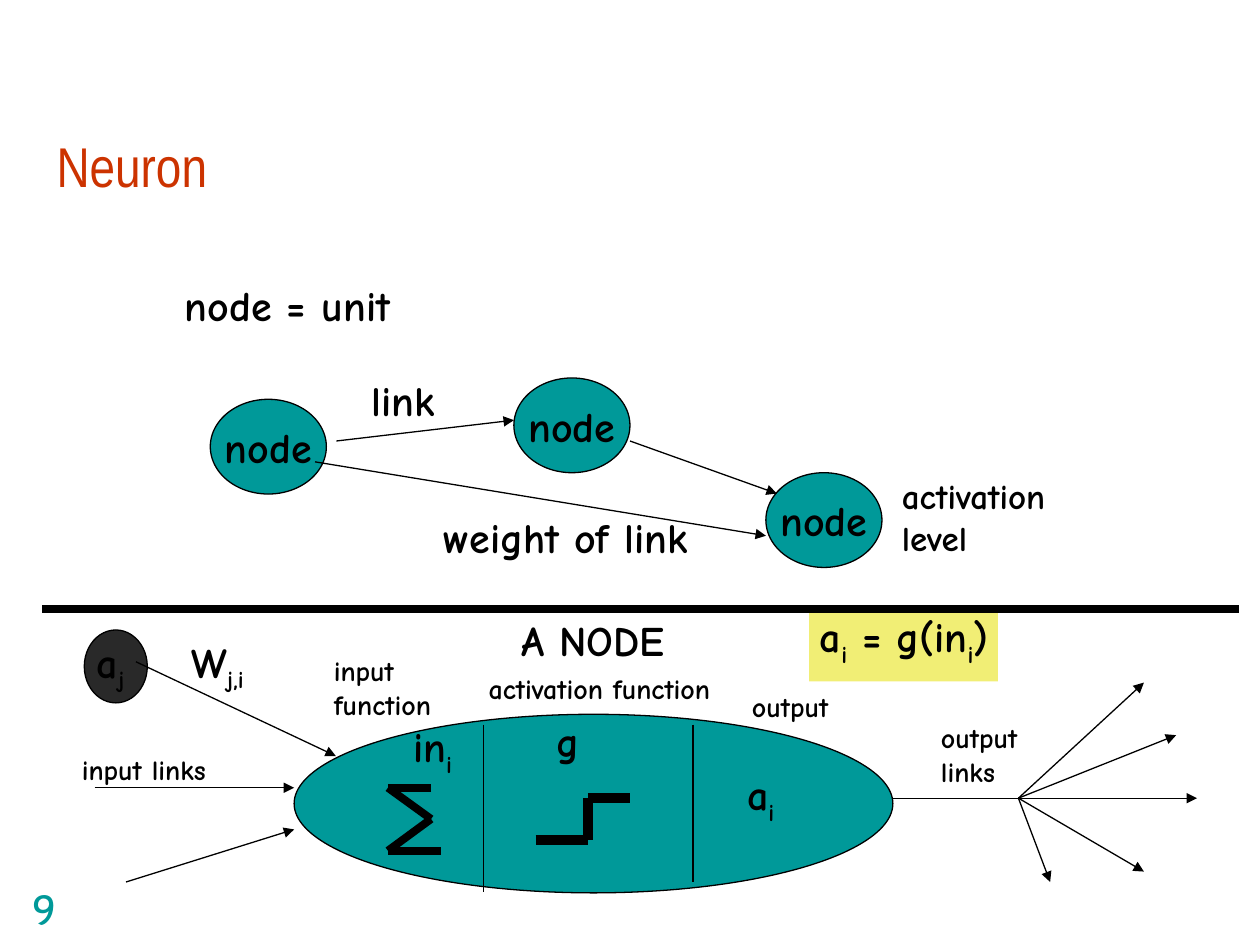
from itertools import pairwise

from lxml import etree
from pptx import Presentation
from pptx.dml.color import RGBColor
from pptx.enum import shapes, text
from pptx.oxml.ns import qn
from pptx.util import Cm, Pt

COLORS = {
    "black": "000000",
    "teal": "009999",
    "dark": "292929",
    "yellow": "F1EE75",
    "red": "CC3300",
}
OVAL = shapes.MSO_SHAPE.OVAL
RECT = shapes.MSO_SHAPE.RECTANGLE


def rgb(name):
    return RGBColor.from_string(COLORS[name])


def write(sp, content, size=24, font="Comic Neue", color="black", bold=True,
          align=text.PP_ALIGN.LEFT, anchor=text.MSO_ANCHOR.TOP, wrap=False):
    """Fill a shape with text; parts between underscores become subscripts."""
    tf = sp.text_frame
    tf.word_wrap = wrap
    tf.vertical_anchor = anchor
    for i, line in enumerate(content.split("\n")):
        p = tf.add_paragraph() if i else tf.paragraphs[0]
        p.alignment = align
        for j, part in enumerate(line.split("_")):
            if not part:
                continue
            r = p.add_run()
            r.text = part
            r.font.name = font
            r.font.size = Pt(size)
            r.font.bold = bold
            r.font.color.rgb = rgb(color)
            if j % 2:
                r.font._element.set("baseline", "-25000")


def add_label(s, content, x, y, w, h=1.27, **fmt):
    """Add a text box; unless it wraps, it grows with its text."""
    sp = s.shapes.add_textbox(Cm(x), Cm(y), Cm(w), Cm(h))
    write(sp, content, **fmt)
    if not sp.text_frame.word_wrap:
        sp.text_frame.auto_size = text.MSO_AUTO_SIZE.SHAPE_TO_FIT_TEXT


def add_figure(s, kind, x, y, w, h, fill, outlined=True):
    sp = s.shapes.add_shape(kind, Cm(x), Cm(y), Cm(w), Cm(h))
    sp.shadow.inherit = False
    sp.fill.solid()
    sp.fill.fore_color.rgb = rgb(fill)
    if outlined:
        sp.line.color.rgb = rgb("black")
        sp.line.width = Pt(0.75)
    else:
        sp.line.fill.background()
    return sp


def add_line(s, start, end, width=0.75, arrow=False):
    line = s.shapes.add_connector(
        shapes.MSO_CONNECTOR.STRAIGHT, *map(Cm, start + end))
    line.line.color.rgb = rgb("black")
    line.line.width = Pt(width)
    if arrow:
        etree.SubElement(line.line._get_or_add_ln(), qn("a:tailEnd"), type="triangle")
    etree.SubElement(line._element.spPr, qn("a:effectLst"))


def add_path(s, points, width):
    for start, end in pairwise(points):
        add_line(s, start, end, width)


def draw_network(s):
    for x, y in [(4.24, 8.05), (10.36, 7.62), (15.44, 9.53)]:
        node = add_figure(s, OVAL, x, y, 2.34, 1.91, "teal")
        write(node, "node", align=text.PP_ALIGN.CENTER, anchor=text.MSO_ANCHOR.MIDDLE)

    links = [((6.78, 8.89), (10.36, 8.47)),
             ((12.7, 8.89), (15.66, 9.95)),
             ((6.35, 9.31), (15.44, 10.8))]
    for start, end in links:
        add_line(s, start, end, arrow=True)

    add_label(s, "node = unit", 3.48, 5.51, 4.65)
    add_label(s, "link", 7.24, 7.42, 1.8)
    add_label(s, "weight of link", 8.69, 10.19, 5.46)
    add_label(s, "activation\nlevel", 17.93, 9.45, 3.42, 1.96, size=20)


def draw_node_detail(s):
    add_figure(s, OVAL, 1.7, 12.7, 1.27, 1.47, "dark")
    add_figure(s, RECT, 16.31, 12.27, 3.81, 1.47, "yellow", outlined=False)
    add_line(s, (0.85, 12.27), (24.98, 12.27), 4.5)
    add_figure(s, OVAL, 5.93, 14.4, 12.07, 3.6, "teal")

    add_line(s, (9.74, 14.61), (9.74, 17.99))
    add_line(s, (13.97, 14.61), (13.97, 17.78))
    sigma = [(8.69, 15.88), (7.82, 15.88), (8.69, 16.51), (7.82, 17.15), (8.89, 17.15)]
    step = [(10.8, 16.93), (11.85, 16.93), (11.85, 16.09), (12.7, 16.09)]
    add_path(s, sigma, 4.5)
    add_path(s, step, 6)

    inputs = [((2.74, 13.34), (6.77, 15.24)),
              ((1.91, 15.88), (5.93, 15.88)),
              ((2.54, 17.78), (5.93, 16.72))]
    hub = (20.53, 16.09)
    targets = [(23.06, 13.76), (23.71, 14.82), (23.06, 17.57), (21.17, 17.78)]
    outputs = [((17.99, 16.09), (24.13, 16.09))] + [(hub, end) for end in targets]
    for start, end in inputs + outputs:
        add_line(s, start, end, arrow=True)

    symbols = [("A NODE", 10.26, 12.27, 3.42),
               ("in_i_", 8.08, 14.4, 1.32),
               ("g", 10.97, 14.3, 0.99),
               ("a_i_", 14.81, 15.37, 1.07)]
    symbols += [("a_i_ = g(in_i_)", 16.28, 12.19, 3.93)]
    for content, x, y, w in symbols:
        add_label(s, content, x, y, w, 1.42 if "_" in content else 1.27)
    add_label(s, "a_j_", 1.7, 12.7, 2.26, 1.42, wrap=True)
    add_label(s, "W_j,i_", 3.61, 12.7, 2.36, 1.42, wrap=True)

    captions = [("input\nfunction", 6.48, 13.06, 2.49, 1.63),
                ("activation function", 9.6, 13.41, 5, 0.94),
                ("output", 14.91, 13.77, 2.06, 0.94),
                ("input links", 1.4, 15.04, 3.02, 0.94),
                ("output\nlinks", 18.72, 14.4, 2.06, 1.63)]
    for content, *box in captions:
        add_label(s, content, *box, size=16)


def main():
    prs = Presentation()
    prs.slide_width, prs.slide_height = Cm(25.4), Cm(19.05)
    s = prs.slides.add_slide(prs.slide_layouts[6])
    framed = {"bold": False, "anchor": text.MSO_ANCHOR.BOTTOM, "wrap": True}
    add_label(s, "Neuron", 0.89, 1.83, 24, 2.31, size=32,
              font="Arial Narrow", color="red", **framed)
    draw_network(s)
    draw_node_detail(s)
    add_label(s, "9", 0.41, 17.68, 5.28, font="Cabin", color="teal", **framed)
    prs.save("out.pptx")


if __name__ == "__main__":
    main()
